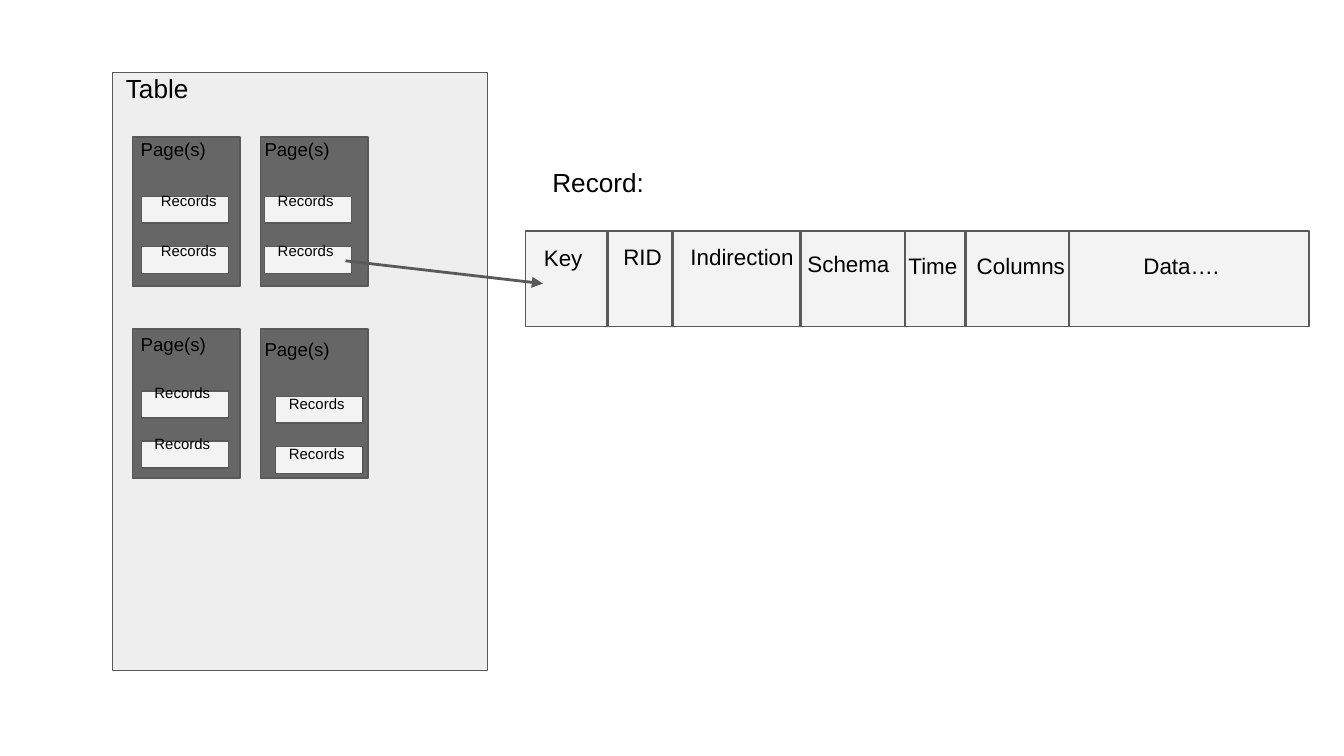
import pptx
import pptx.util
import pptx.dml.color
import pptx.enum.shapes
import pptx.enum.text
import pptx.oxml
import lxml.etree

Cm, Pt = pptx.util.Cm, pptx.util.Pt
RGB = pptx.dml.color.RGBColor.from_string

HUES = {"table": "EEEEEE", "page": "666666", "record": "F3F3F3",
        "edge": "595959", "ink": "000000"}
FONT = "Arial"

# Lengths in centimetres
TABLE = (2.13, 1.37, 7.09, 11.3)
RECORD = (9.93, 4.37, 14.81, 1.8)
TITLES = [("Table", 2.13, 1.12, 2.41, 1.52), ("Record:", 10.19, 2.9, 2.95, 0.81)]
PAGE = {"left": 2.51, "top": 2.59, "wide": 2.03, "high": 2.82,
        "across": 2.42, "down": 3.63}
# Corners of the label, the first record bar and the first record text
PAGES = [
    {"label": (2.41, 2.39), "bar": (2.67, 3.71), "text": (2.79, 3.45)},
    {"label": (4.75, 2.39), "bar": (5.0, 3.71), "text": (5.0, 3.45)},
    {"label": (2.41, 6.07), "bar": (2.67, 7.39), "text": (2.67, 7.09)},
    {"label": (4.75, 6.17), "bar": (5.21, 7.49), "text": (5.21, 7.29)},
]
STEP = 0.95
# Name, left, top, width, height
FIELDS = [
    ("Key", 10.03, 4.37, 1.83, 1.8),
    ("RID", 11.53, 4.34, 1.83, 1.52),
    ("Indirection", 12.8, 4.34, 3.2, 1.52),
    ("Schema", 15.01, 4.47, 3.2, 1.52),
    ("Time", 16.92, 4.52, 1.52, 1.52),
    ("Columns", 18.21, 4.52, 2.41, 1.52),
    ("Data….", 21.36, 4.52, 2.41, 1.52),
]
RULES = [11.46, 12.7, 15.11, 17.09, 18.24, 20.19]
ARROW = (6.53, 4.93, 10.26, 5.36)
FRAME = {"word_wrap": True, "vertical_anchor": pptx.enum.text.MSO_ANCHOR.TOP,
         "margin_left": Cm(0.25), "margin_right": Cm(0.25),
         "margin_top": Cm(0.25), "margin_bottom": Cm(0.25)}

deck = pptx.Presentation()
deck.slide_width, deck.slide_height = Cm(25.4), Cm(14.29)
parts = deck.slides.add_slide(deck.slide_layouts[6]).shapes


def style(item, values):
    """Set attributes from a dict."""
    for key, value in values.items():
        setattr(item, key, value)


def box(hue, *area):
    """Draw a filled, outlined rectangle."""
    kind = pptx.enum.shapes.MSO_SHAPE.RECTANGLE
    shape = parts.add_shape(kind, *map(Cm, area))
    shape.shadow.inherit = False
    shape.fill.solid()
    shape.fill.fore_color.rgb = RGB(HUES[hue])
    shape.line.color.rgb = RGB(HUES["edge"])
    shape.line.width = Pt(0.75)


def write(words, size, *area):
    """Place a line of text."""
    frame = parts.add_textbox(*map(Cm, area)).text_frame
    style(frame, FRAME)
    run = frame.paragraphs[0].add_run()
    run.text = words
    style(run.font, {"name": FONT, "size": Pt(size)})
    run.font.color.rgb = RGB(HUES["ink"])


def arrow(*ends):
    """Draw a line with a head at its end."""
    kind = pptx.enum.shapes.MSO_CONNECTOR.STRAIGHT
    line = parts.add_connector(kind, *map(Cm, ends))
    line.line.color.rgb = RGB(HUES["edge"])
    line.line.width = Pt(1.5)
    tag = pptx.oxml.ns.qn
    head = lxml.etree.SubElement(line.line._get_or_add_ln(), tag("a:tailEnd"))
    head.set("type", "triangle")
    lxml.etree.SubElement(line._element.spPr, tag("a:effectLst"))


box("table", *TABLE)
for num, page in enumerate(PAGES):
    row, col = divmod(num, 2)
    box("page", PAGE["left"] + col * PAGE["across"],
        PAGE["top"] + row * PAGE["down"], PAGE["wide"], PAGE["high"])
for page in PAGES:
    write("Page(s)", 10, *page["label"], 4.78, 1.52)
    for drop in (0, STEP):
        left, top = page["bar"]
        box("record", left, top + drop, 1.65, 0.51)
        left, top = page["text"]
        write("Records", 8, left, top + drop, 2.03, 1.12)

box("record", *RECORD)
for words, *area in TITLES:
    write(words, 14, *area)
for words, *area in FIELDS:
    write(words, 12, *area)
arrow(*ARROW)
for left in RULES:
    box("ink", left, RECORD[1], 0.03, RECORD[3])

deck.save("out.pptx")
